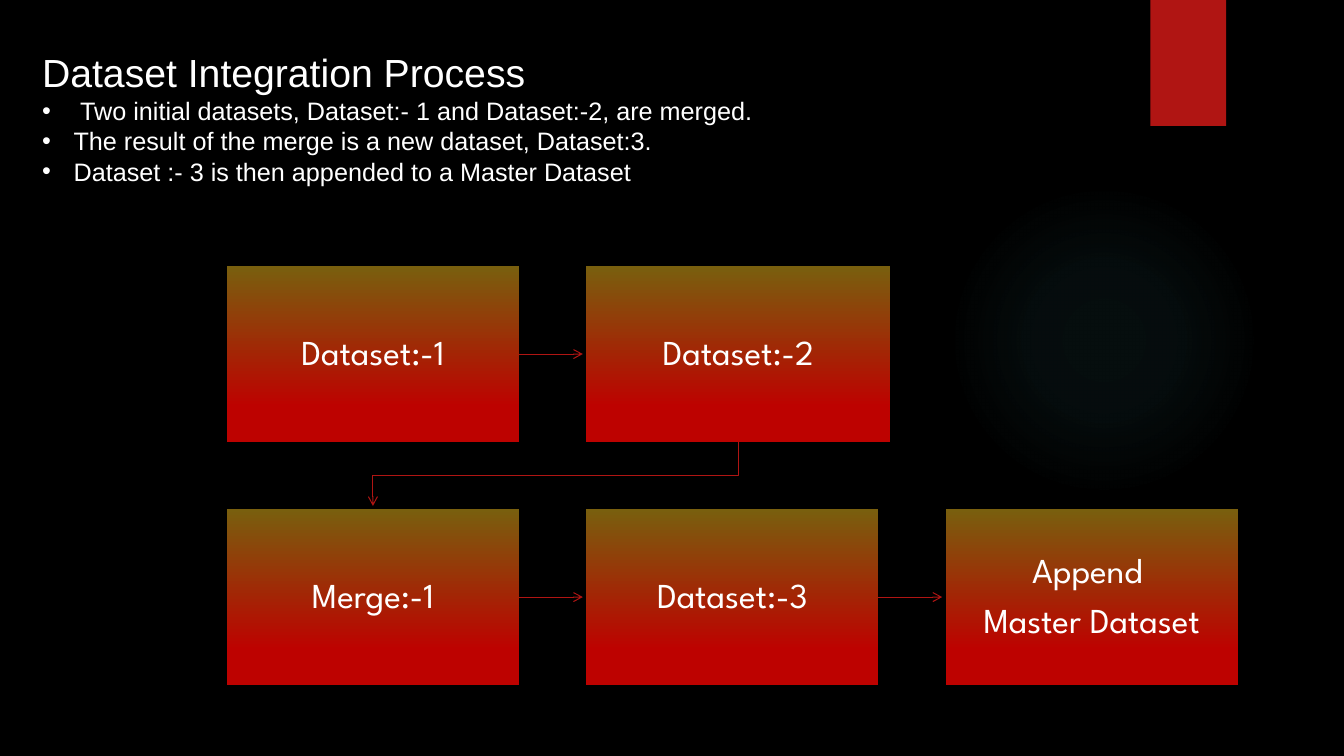
from pptx import Presentation
from pptx.dml.color import RGBColor
from pptx.enum.shapes import MSO_CONNECTOR, MSO_SHAPE
from pptx.enum.text import MSO_ANCHOR, MSO_AUTO_SIZE, PP_ALIGN
from pptx.oxml import parse_xml
from pptx.oxml.ns import qn
from pptx.util import Pt
from lxml import etree

A_NS = 'xmlns:a="http://schemas.openxmlformats.org/drawingml/2006/main"'
RED, WHITE, BLACK = "B01513", "FFFFFF", "000000"

# Flow grid
COLUMNS = [162 + 256.7 * i for i in range(3)]
ROWS = [190.2, 363.8]
BOX_WIDTH, BOX_HEIGHT = 208.8, 125.4
ARROW_GAP = 2.4

LINEAR = '<a:lin ang="5400000" scaled="0"/>'
RADIAL = ('<a:path path="circle"><a:fillToRect l="50000" t="50000" '
          'r="50000" b="50000"/></a:path>')
BOX_STOPS = [(0, "795F0E", 100), (80, "BD0200", 100), (100, "BE0200", 100)]
GLOW_STOPS = [(0, "50B9C1", 7), (36, "50B9C1", 6), (69, "50B9C1", 0)]


def color(hex_string):
    return RGBColor.from_string(hex_string)


def add_plain_shape(slide, kind, left, top, width, height, fill):
    shape = slide.shapes.add_shape(kind, Pt(left), Pt(top), Pt(width), Pt(height))
    shape.shadow.inherit = False
    shape.fill.solid()
    shape.fill.fore_color.rgb = color(fill)
    shape.line.fill.background()
    return shape


def set_gradient(shape, stops, direction):
    stop_xml = "".join(
        f'<a:gs pos="{pos * 1000}"><a:srgbClr val="{tone}">'
        f'<a:alpha val="{alpha * 1000}"/></a:srgbClr></a:gs>'
        for pos, tone, alpha in stops)
    gradient = parse_xml(f'<a:gradFill {A_NS} rotWithShape="1">'
                         f'<a:gsLst>{stop_xml}</a:gsLst>{direction}</a:gradFill>')
    properties = shape.element.spPr
    properties.replace(properties.find(qn("a:solidFill")), gradient)


def add_run(paragraph, text, size, font):
    run = paragraph.add_run()
    run.text = text
    run.font.size = Pt(size)
    run.font.name = font
    run.font.color.rgb = color(WHITE)


def add_step(slide, left, top, lines, width=BOX_WIDTH):
    step = add_plain_shape(slide, MSO_SHAPE.RECTANGLE, left, top, width, BOX_HEIGHT, RED)
    set_gradient(step, BOX_STOPS, LINEAR)
    frame = step.text_frame
    frame.word_wrap = True
    frame.vertical_anchor = MSO_ANCHOR.MIDDLE
    frame.margin_left = frame.margin_right = Pt(13.7)
    frame.margin_top = frame.margin_bottom = Pt(13.7)
    for i, line in enumerate(lines):
        paragraph = frame.add_paragraph() if i else frame.paragraphs[0]
        paragraph.alignment = PP_ALIGN.CENTER
        paragraph.line_spacing = 0.9
        paragraph.space_after = Pt(8.75)
        add_run(paragraph, line, 25, "League Spartan")
    return step


def style_arrow(arrow):
    arrow.line.color.rgb = color(RED)
    arrow.line.width = Pt(0.75)
    etree.SubElement(arrow.line._get_or_add_ln(), qn("a:tailEnd"), type="arrow")


def add_arrow(slide, source, target):
    middle = source.top + source.height // 2
    arrow = slide.shapes.add_connector(
        MSO_CONNECTOR.STRAIGHT, source.left + source.width, middle,
        target.left - Pt(ARROW_GAP), middle)
    arrow.begin_connect(source, 3)
    style_arrow(arrow)
    etree.SubElement(arrow.element.spPr, qn("a:effectLst"))


def add_return_arrow(slide, source, target):
    start_x = source.left + source.width // 2
    start_y = source.top + source.height
    end_x = target.left + target.width // 2
    turn_y = (start_y + target.top) // 2
    builder = slide.shapes.build_freeform(start_x, start_y)
    builder.add_line_segments(
        [(start_x, turn_y), (end_x, turn_y), (end_x, target.top - Pt(ARROW_GAP))],
        close=False)
    arrow = builder.convert_to_shape()
    arrow.shadow.inherit = False
    arrow.fill.background()
    style_arrow(arrow)


def add_bullet(paragraph):
    properties = paragraph._p.get_or_add_pPr()
    properties.set("marL", str(Pt(22.5)))
    properties.set("indent", str(-Pt(22.5)))
    etree.SubElement(properties, qn("a:buFont"), typeface="Arial")
    etree.SubElement(properties, qn("a:buChar"), char="•")


def add_summary(slide, title, points):
    box = slide.shapes.add_textbox(Pt(23), Pt(31), Pt(613.4), Pt(106.6))
    frame = box.text_frame
    frame.word_wrap = True
    frame.auto_size = MSO_AUTO_SIZE.SHAPE_TO_FIT_TEXT
    add_run(frame.paragraphs[0], title, 28, "Arial")
    for point in points:
        paragraph = frame.add_paragraph()
        add_bullet(paragraph)
        add_run(paragraph, point, 18, "Arial")


def main():
    prs = Presentation()
    prs.slide_width, prs.slide_height = Pt(960), Pt(540)
    slide = prs.slides.add_slide(prs.slide_layouts[6])
    slide.background.fill.solid()
    slide.background.fill.fore_color.rgb = color(BLACK)

    # Backdrop: soft glow and red tab
    glow = add_plain_shape(slide, MSO_SHAPE.OVAL, 677.5, 131.8, 221.8, 221.8, BLACK)
    set_gradient(glow, GLOW_STOPS, RADIAL)
    add_plain_shape(slide, MSO_SHAPE.RECTANGLE, 821.8, 0, 54, 90, RED)

    # Flow steps
    first = add_step(slide, COLUMNS[0], ROWS[0], ["Dataset:-1"])
    second = add_step(slide, COLUMNS[1], ROWS[0], ["Dataset:-2"], width=217.4)
    merge = add_step(slide, COLUMNS[0], ROWS[1], ["Merge:-1"])
    third = add_step(slide, COLUMNS[1], ROWS[1], ["Dataset:-3"])
    master = add_step(slide, COLUMNS[2], ROWS[1], ["Append ", "Master Dataset"])

    # Flow arrows
    for source, target in [(first, second), (merge, third), (third, master)]:
        add_arrow(slide, source, target)
    add_return_arrow(slide, second, merge)

    # Title and explanation
    add_summary(slide, "Dataset Integration Process", [
        " Two initial datasets, Dataset:- 1 and Dataset:-2, are merged.",
        "The result of the merge is a new dataset, Dataset:3.",
        "Dataset :- 3 is then appended to a Master Dataset",
    ])
    prs.save("out.pptx")


if __name__ == "__main__":
    main()
